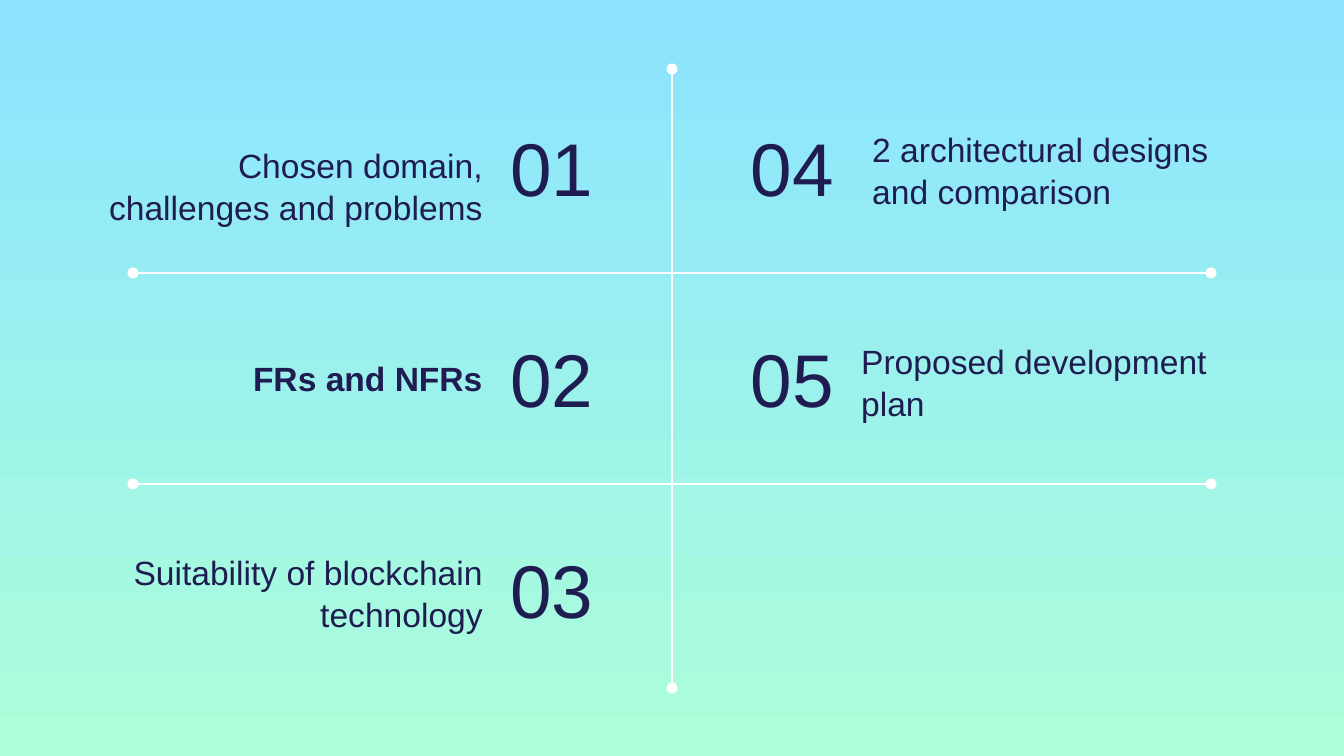
from dataclasses import dataclass

from lxml import etree
from pptx import Presentation
from pptx.dml.color import RGBColor
from pptx.enum.shapes import MSO_CONNECTOR
from pptx.enum.text import MSO_ANCHOR, MSO_AUTO_SIZE, PP_ALIGN
from pptx.oxml.ns import qn
from pptx.shapes.autoshape import Shape
from pptx.slide import Slide
from pptx.util import Emu, Inches, Pt

LEFT, RIGHT = PP_ALIGN.LEFT, PP_ALIGN.RIGHT
MIDDLE, BOTTOM = MSO_ANCHOR.MIDDLE, MSO_ANCHOR.BOTTOM
NO_FIT = MSO_AUTO_SIZE.NONE
STRAIGHT = MSO_CONNECTOR.STRAIGHT

NAVY = RGBColor(0x1F, 0x1C, 0x51)
WHITE = RGBColor(0xFF, 0xFF, 0xFF)
SKY = RGBColor(0x8B, 0xE3, 0xFF)
MINT = RGBColor(0xAC, 0xFF, 0xD9)

FONT = "Arial"
SCALE = 914400 / 134.4
WIDTH, HEIGHT = 1344, 756
CENTER = WIDTH // 2
ROW_TOP, ROW_STEP = 109, 211
NUM_W, NUM_H = 175, 116
RULE_TOP = 273


@dataclass(frozen=True)
class Topic:
    label: str
    left: int
    top: int
    width: int
    height: int
    bold: bool = False


@dataclass(frozen=True)
class Rule:
    x1: int
    y1: int
    x2: int
    y2: int


TOPICS = [
    Topic("Chosen domain, challenges and problems", 95, 50, 401, 191),
    Topic("FRs and NFRs", 95, 345, 401, 67, bold=True),
    Topic("Suitability of blockchain technology", 67, 581, 429, 67),
    Topic("2 architectural designs and comparison", 859, 109, 401, 116),
    Topic("Proposed development plan", 848, 321, 401, 116),
]
RULES = [Rule(CENTER, 69, CENTER, 688)] + [
    Rule(133, y, 1211, y) for y in (RULE_TOP, RULE_TOP + ROW_STEP)
]


def px(value: int) -> Emu:
    return Emu(round(value * SCALE))


def write(shape: Shape, text: str, *, size: int, align: PP_ALIGN,
          anchor: MSO_ANCHOR, bold: bool = False, space: float = 1.0) -> None:
    frame = shape.text_frame
    frame.word_wrap = True
    frame.auto_size = NO_FIT
    frame.vertical_anchor = anchor
    frame.margin_left = frame.margin_right = Inches(0.1)
    frame.margin_top = frame.margin_bottom = Inches(0.1)
    para = frame.paragraphs[0]
    para.alignment = align
    para.line_spacing = space
    run = para.add_run()
    run.text = text
    font = run.font
    font.name, font.size, font.bold = FONT, Pt(size), bold
    font.color.rgb = NAVY


def draw_topic(slide: Slide, index: int, topic: Topic) -> None:
    side, row = divmod(index, 3)
    place = (px(CENTER - NUM_W * (1 - side)), px(ROW_TOP + row * ROW_STEP),
             px(NUM_W), px(NUM_H))
    if index == 0:
        number = slide.shapes.title
        number.left, number.top, number.width, number.height = place
    else:
        number = slide.shapes.add_textbox(*place)
    write(number, f"{index + 1:02}", size=40,
          align=RIGHT if side else LEFT, anchor=MIDDLE)
    label = slide.shapes.add_textbox(
        px(topic.left), px(topic.top), px(topic.width), px(topic.height))
    write(label, topic.label, size=18, align=LEFT if side else RIGHT,
          anchor=BOTTOM, bold=topic.bold, space=1.05)


def draw_rule(slide: Slide, rule: Rule) -> None:
    link = slide.shapes.add_connector(
        STRAIGHT, px(rule.x1), px(rule.y1), px(rule.x2), px(rule.y2))
    link.line.color.rgb = WHITE
    link.line.width = Pt(1.5)
    props = link.line._get_or_add_ln()
    for end in ("a:headEnd", "a:tailEnd"):
        etree.SubElement(props, qn(end), type="oval")
    etree.SubElement(link._element.spPr, qn("a:effectLst"))


def main() -> None:
    deck = Presentation()
    deck.slide_width, deck.slide_height = px(WIDTH), px(HEIGHT)
    slide = deck.slides.add_slide(deck.slide_layouts[5])
    fill = slide.background.fill
    fill.gradient()
    fill.gradient_angle = 270
    for stop, color, spot in zip(fill.gradient_stops, (SKY, MINT), (0, 1)):
        stop.color.rgb = color
        stop.position = spot
    for rule in RULES:
        draw_rule(slide, rule)
    for index, topic in enumerate(TOPICS):
        draw_topic(slide, index, topic)
    deck.save("out.pptx")


if __name__ == "__main__":
    main()
